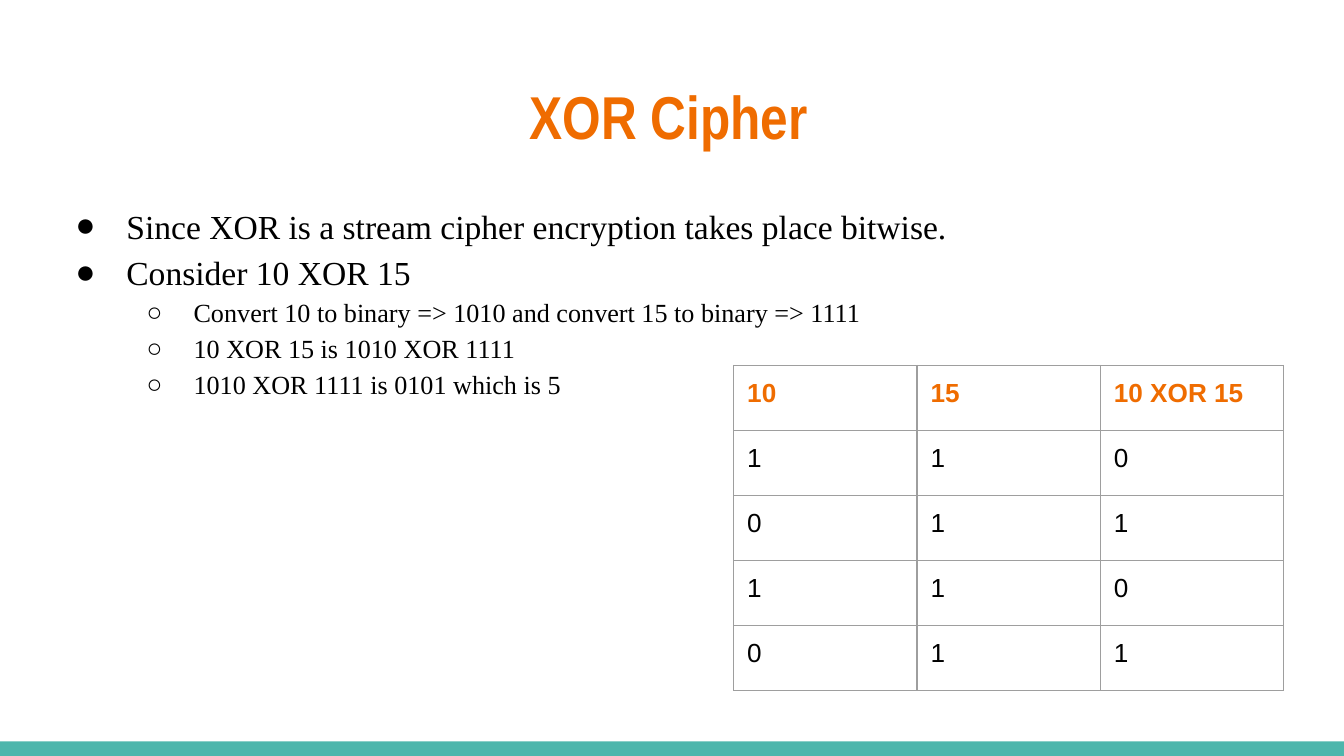
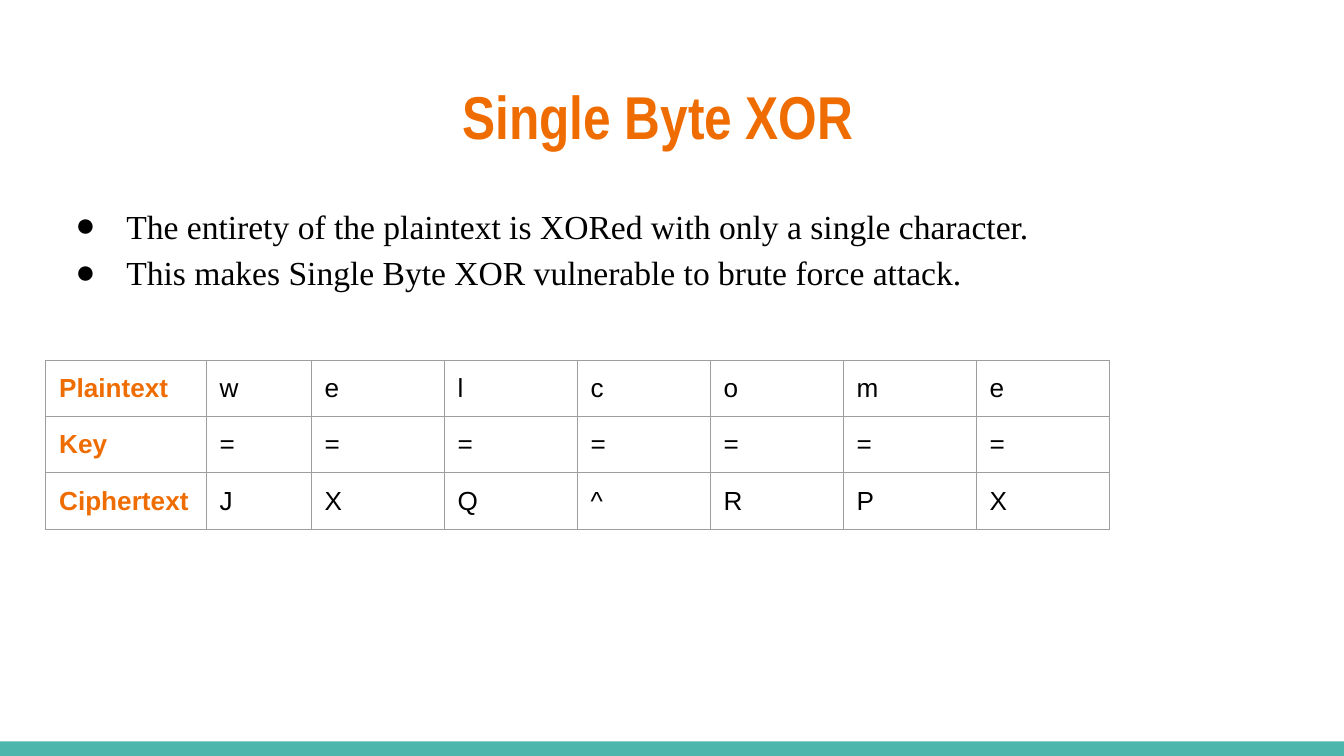
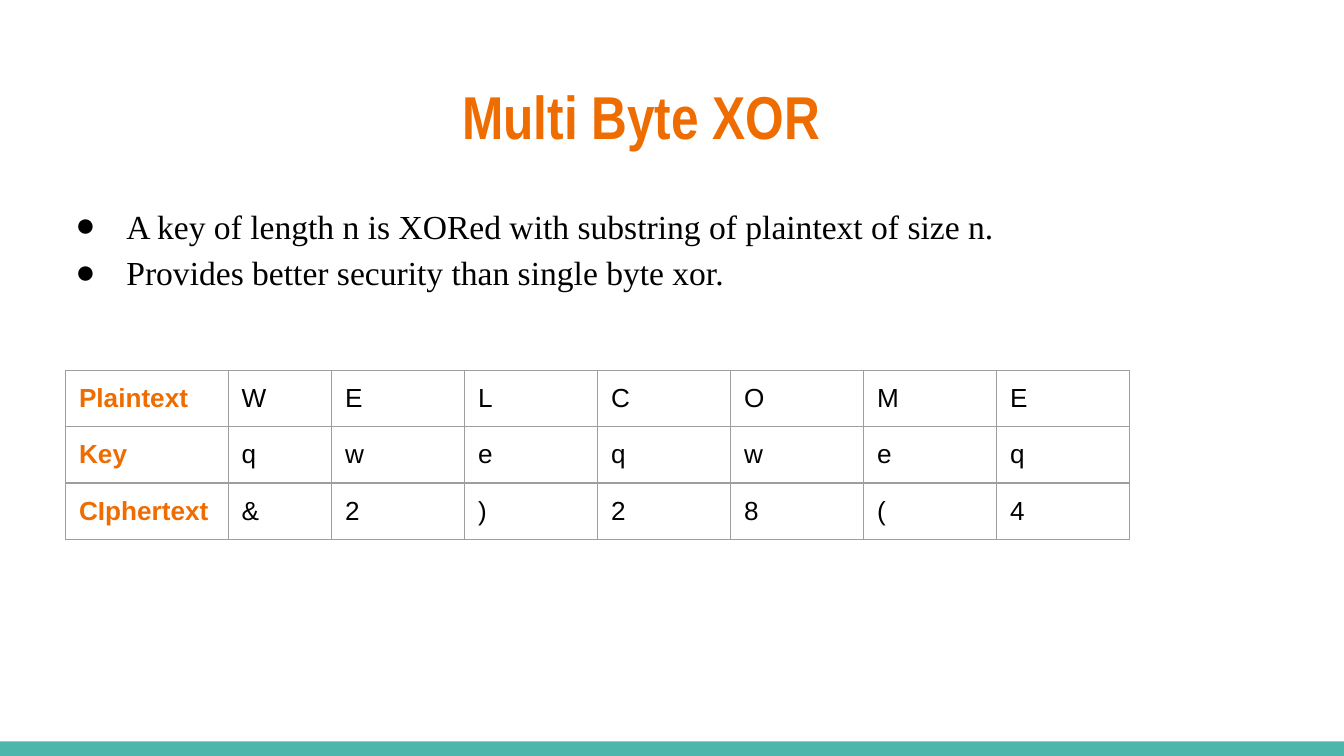
"""Build three slides that explain the XOR cipher with worked tables."""
from lxml.etree import SubElement
from pptx import Presentation
from pptx.dml.color import RGBColor
from pptx.enum.shapes import MSO_SHAPE as Preset
from pptx.enum.text import MSO_ANCHOR as Anchor, MSO_AUTO_SIZE as AutoSize, PP_ALIGN as Align
from pptx.oxml.ns import qn
from pptx.util import Inches, Pt

COLORS = {"accent": "EF6C00", "text": "000000", "band": "4DB6AC", "grid": "9E9E9E"}
FONTS = {"title": "Arial Narrow", "body": "Times New Roman", "table": "Arial"}
WIDTH = Inches(10)
HEIGHT = WIDTH * 9 // 16
PERCENT_X, PERCENT_Y = WIDTH / 100, HEIGHT / 100
LEVELS = [
    {"size": 18, "bullet": "●", "margin": 0.5, "indent": -0.38},
    {"size": 14, "bullet": "○", "margin": 1, "indent": -0.35},
]
LETTER_COLUMNS = [9.9] * 6

TOPICS = [
    {
        "title": "XOR Cipher", "title_margin": 3,
        "points": [
            (0, "Since XOR is a stream cipher encryption takes place bitwise."),
            (0, "Consider 10 XOR 15"),
            (1, "Convert 10 to binary => 1010 and convert 15 to binary => 1111"),
            (1, "10 XOR 15 is 1010 XOR 1111"),
            (1, "1010 XOR 1111 is 0101 which is 5"),
        ],
        "left": 54.6, "top": 48.36, "columns": [13.64] * 3, "row_height": 8.6,
        "heading": "row",
        "rows": [["10", "15", "10 XOR 15"], "110", "011", "110", "011"],
    },
    {
        "title": "Single Byte XOR", "title_margin": 2.5,
        "points": [
            (0, "The entirety of the plaintext is XORed with only a single character."),
            (0, "This makes Single Byte XOR vulnerable to brute force attack."),
        ],
        "left": 3.4, "top": 47.65, "columns": [11.95, 7.8] + LETTER_COLUMNS,
        "row_height": 7.45, "heading": "column",
        "rows": [["Plaintext", *"welcome"], ["Key", *"======="], ["Ciphertext", *"JXQ^RPX"]],
    },
    {
        "title": "Multi Byte XOR", "title_margin": 2.5,
        "points": [
            (0, "A key of length n is XORed with substring of plaintext of size n."),
            (0, "Provides better security than single byte xor."),
        ],
        "left": 4.88, "top": 49, "columns": [12.1, 7.7] + LETTER_COLUMNS,
        "row_height": 7.45, "heading": "column",
        "rows": [["Plaintext", *"WELCOME"], ["Key", *"qweqweq"], ["CIphertext", *"&2)28(4"]],
    },
]


def add_text(paragraph, text, font, size, color, bold=False):
    run = paragraph.add_run()
    run.text = text
    run.font.name = FONTS[font]
    run.font.size = Pt(size)
    run.font.bold = bold
    run.font.color.rgb = RGBColor.from_string(COLORS[color])


def place(placeholder, top, height):
    placeholder.left, placeholder.width = int(3.4 * PERCENT_X), int(93.2 * PERCENT_X)
    placeholder.top, placeholder.height = int(top * PERCENT_Y), int(height * PERCENT_Y)
    frame = placeholder.text_frame
    frame.margin_left = frame.margin_right = Inches(0.1)
    frame.margin_top = frame.margin_bottom = Inches(0.1)
    frame.auto_size = AutoSize.NONE
    frame.vertical_anchor = Anchor.TOP
    return frame


deck = Presentation()
deck.slide_width, deck.slide_height = WIDTH, HEIGHT

for topic in TOPICS:
    slide = deck.slides.add_slide(deck.slide_layouts[1])

    band_height = int(1.92 * PERCENT_Y)
    band = slide.shapes.add_shape(Preset.RECTANGLE, 0, HEIGHT - band_height, WIDTH, band_height)
    band.shadow.inherit = False
    band.fill.solid()
    band.fill.fore_color.rgb = RGBColor.from_string(COLORS["band"])
    band.line.fill.background()

    heading = place(slide.shapes.title, 8.7, 13.7).paragraphs[0]
    heading.alignment = Align.LEFT
    heading_props = heading._p.get_or_add_pPr()
    heading_props.set("marL", str(Inches(topic["title_margin"])))
    heading_props.set("indent", str(Inches(0.5)))
    add_text(heading, topic["title"], "title", 32.4, "accent", bold=True)

    points = place(slide.placeholders[1], 24.6, 64.2)
    for number, (level, sentence) in enumerate(topic["points"]):
        point = points.add_paragraph() if number else points.paragraphs[0]
        style = LEVELS[level]
        point.level = level
        point.line_spacing = 1.15
        point.space_before = Pt(0)
        point_props = point._p.get_or_add_pPr()
        point_props.set("marL", str(Inches(style["margin"])))
        point_props.set("indent", str(Inches(style["indent"])))
        bullet_color = SubElement(point_props, qn("a:buClr"))
        SubElement(bullet_color, qn("a:srgbClr"), val=COLORS["text"])
        SubElement(point_props, qn("a:buFont"), typeface=FONTS["body"])
        SubElement(point_props, qn("a:buChar"), char=style["bullet"])
        add_text(point, sentence, "body", style["size"], "text")

    rows, columns = topic["rows"], topic["columns"]
    row_height = int(topic["row_height"] * PERCENT_Y)
    example = slide.shapes.add_table(
        len(rows), len(columns), int(topic["left"] * PERCENT_X), int(topic["top"] * PERCENT_Y),
        int(sum(columns) * PERCENT_X), row_height * len(rows)).table
    example.first_row = example.horz_banding = False
    for column, width in zip(example.columns, columns):
        column.width = int(width * PERCENT_X)
    for r, values in enumerate(rows):
        example.rows[r].height = row_height
        for c, value in enumerate(values):
            cell = example.cell(r, c)
            cell.margin_left = cell.margin_right = Inches(0.1)
            cell.margin_top = cell.margin_bottom = Inches(0.1)
            for side in ("a:lnL", "a:lnR", "a:lnT", "a:lnB"):
                border = SubElement(cell._tc.get_or_add_tcPr(), qn(side), w=str(Pt(0.75)))
                border_fill = SubElement(border, qn("a:solidFill"))
                SubElement(border_fill, qn("a:srgbClr"), val=COLORS["grid"])
            cell.fill.background()
            is_heading = (r if topic["heading"] == "row" else c) == 0
            add_text(cell.text_frame.paragraphs[0], value, "table", 14,
                     "accent" if is_heading else "text", bold=is_heading)

deck.save("out.pptx")
